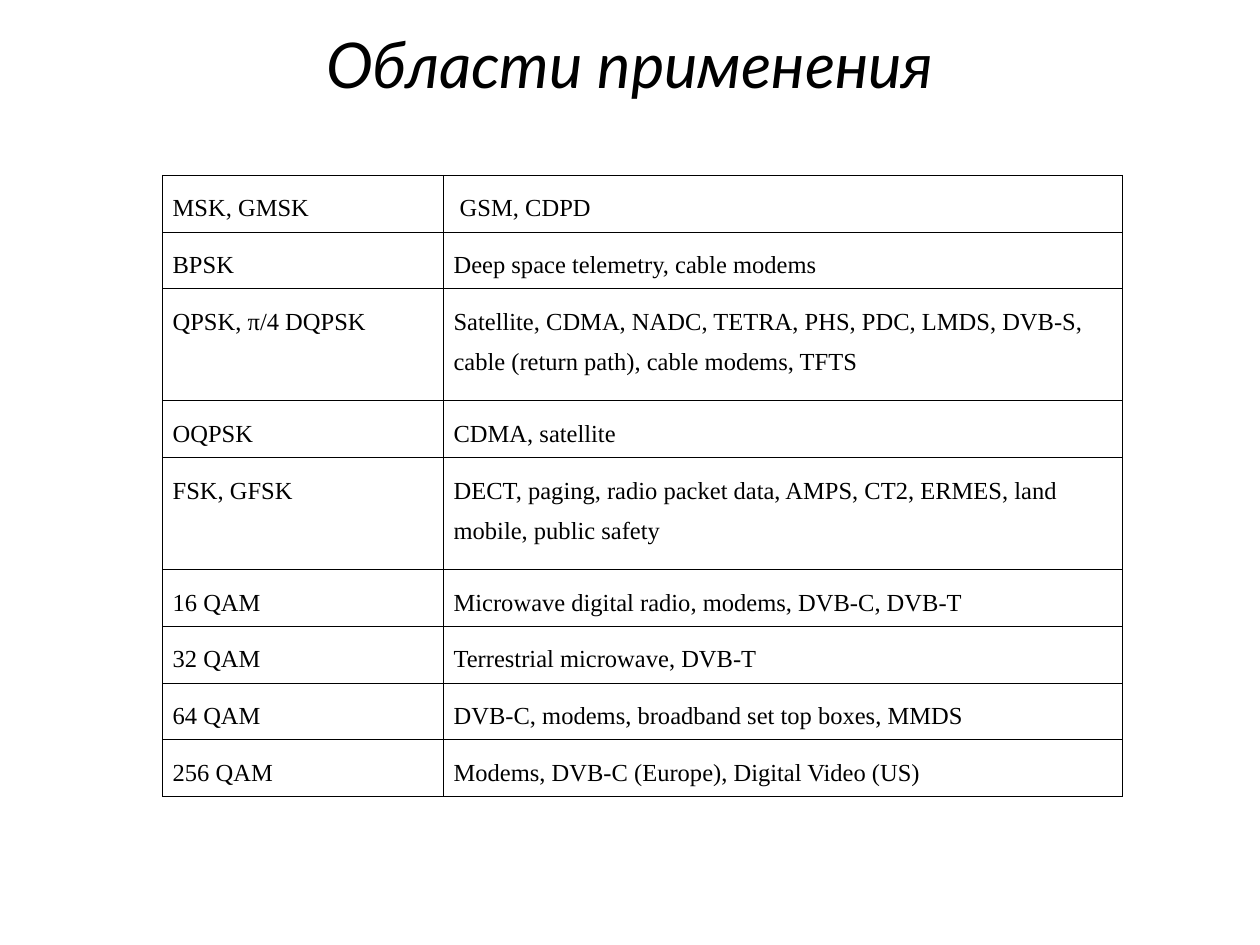
from dataclasses import dataclass

from pptx import Presentation
from pptx.dml.color import RGBColor
from pptx.enum.text import MSO_ANCHOR, PP_ALIGN
from pptx.oxml import parse_xml
from pptx.oxml.ns import nsdecls
from pptx.util import Inches, Pt

CENTER, LEFT = PP_ALIGN.CENTER, PP_ALIGN.LEFT
MIDDLE, TOP = MSO_ANCHOR.MIDDLE, MSO_ANCHOR.TOP

# Content: modulation, applications, text lines in the row
TITLE = "Области применения"
MODULATIONS = [
    ("MSK, GMSK", " GSM, CDPD", 1),
    ("BPSK", "Deep space telemetry, cable modems", 1),
    ("QPSK, π/4 DQPSK", "Satellite, CDMA, NADC, TETRA, PHS, PDC, LMDS, DVB-S, "
     "cable (return path), cable modems, TFTS", 2),
    ("OQPSK", "CDMA, satellite", 1),
    ("FSK, GFSK", "DECT, paging, radio packet data, AMPS, CT2, ERMES, land "
     "mobile, public safety", 2),
    ("16 QAM", "Microwave digital radio, modems, DVB-C, DVB-T", 1),
    ("32 QAM", "Terrestrial microwave, DVB-T", 1),
    ("64 QAM", "DVB-C, modems, broadband set top boxes, MMDS", 1),
    ("256 QAM", "Modems, DVB-C (Europe), Digital Video (US)", 1),
]


@dataclass(frozen=True)
class Theme:
    ink: str = "000000"
    paper: str = "FFFFFF"
    title_font: str = "Lato"
    table_font: str = "Times New Roman"
    title_size: float = 36
    table_size: float = 14
    border: float = 0.45


THEME = Theme()

# Layout in inches
SLIDE_WIDTH, SLIDE_HEIGHT = 10, 7.5
TITLE_MARGIN, TITLE_TOP, TITLE_HEIGHT = 0.15, 0.25, 0.6
TABLE_LEFT, TABLE_TOP = 1.29, 1.39
COLUMN_WIDTHS = (2.23, 5.39)
ROW_HEIGHTS = {1: 0.45, 2: 0.89}


def write(text_frame, text, font_name, size, alignment, spacing, italic=False):
    text_frame.text = text
    paragraph = text_frame.paragraphs[0]
    paragraph.alignment = alignment
    paragraph.line_spacing = spacing
    font = paragraph.runs[0].font
    font.name, font.size = font_name, Pt(size)
    font.italic, font.bold = italic, False
    font.color.rgb = RGBColor.from_string(THEME.ink)


def add_borders(cell):
    properties = cell._tc.get_or_add_tcPr()
    for index, side in enumerate(("lnL", "lnR", "lnT", "lnB")):
        properties.insert(index, parse_xml(
            f'<a:{side} {nsdecls("a")} w="{Pt(THEME.border)}"><a:solidFill>'
            f'<a:srgbClr val="{THEME.ink}"/></a:solidFill></a:{side}>'))


def add_title(slide):
    title = slide.shapes.title
    title.left, title.top = Inches(TITLE_MARGIN), Inches(TITLE_TOP)
    title.width = Inches(SLIDE_WIDTH - 2 * TITLE_MARGIN)
    title.height = Inches(TITLE_HEIGHT)
    title.text_frame.vertical_anchor = MIDDLE
    write(title.text_frame, TITLE, THEME.title_font, THEME.title_size,
          CENTER, 0.85, italic=True)


def add_modulation_table(slide):
    heights = [ROW_HEIGHTS[lines] for _, _, lines in MODULATIONS]
    table = slide.shapes.add_table(
        len(MODULATIONS), len(COLUMN_WIDTHS), Inches(TABLE_LEFT),
        Inches(TABLE_TOP), Inches(sum(COLUMN_WIDTHS)),
        Inches(sum(heights))).table
    table.first_row = table.horz_banding = False
    for column, width in zip(table.columns, COLUMN_WIDTHS):
        column.width = Inches(width)
    for row, height, (*texts, _) in zip(table.rows, heights, MODULATIONS):
        row.height = Inches(height)
        for cell, text in zip(row.cells, texts):
            cell.margin_left = cell.margin_right = Inches(0.08)
            cell.margin_top = cell.margin_bottom = Inches(0.05)
            cell.vertical_anchor = TOP
            cell.fill.solid()
            cell.fill.fore_color.rgb = RGBColor.from_string(THEME.paper)
            add_borders(cell)
            write(cell.text_frame, text, THEME.table_font, THEME.table_size,
                  LEFT, 1.5)


def main():
    presentation = Presentation()
    presentation.slide_width = Inches(SLIDE_WIDTH)
    presentation.slide_height = Inches(SLIDE_HEIGHT)
    title_only = presentation.slide_layouts.get_by_name("Title Only")
    slide = presentation.slides.add_slide(title_only)
    add_title(slide)
    add_modulation_table(slide)
    presentation.save("out.pptx")


if __name__ == "__main__":
    main()
